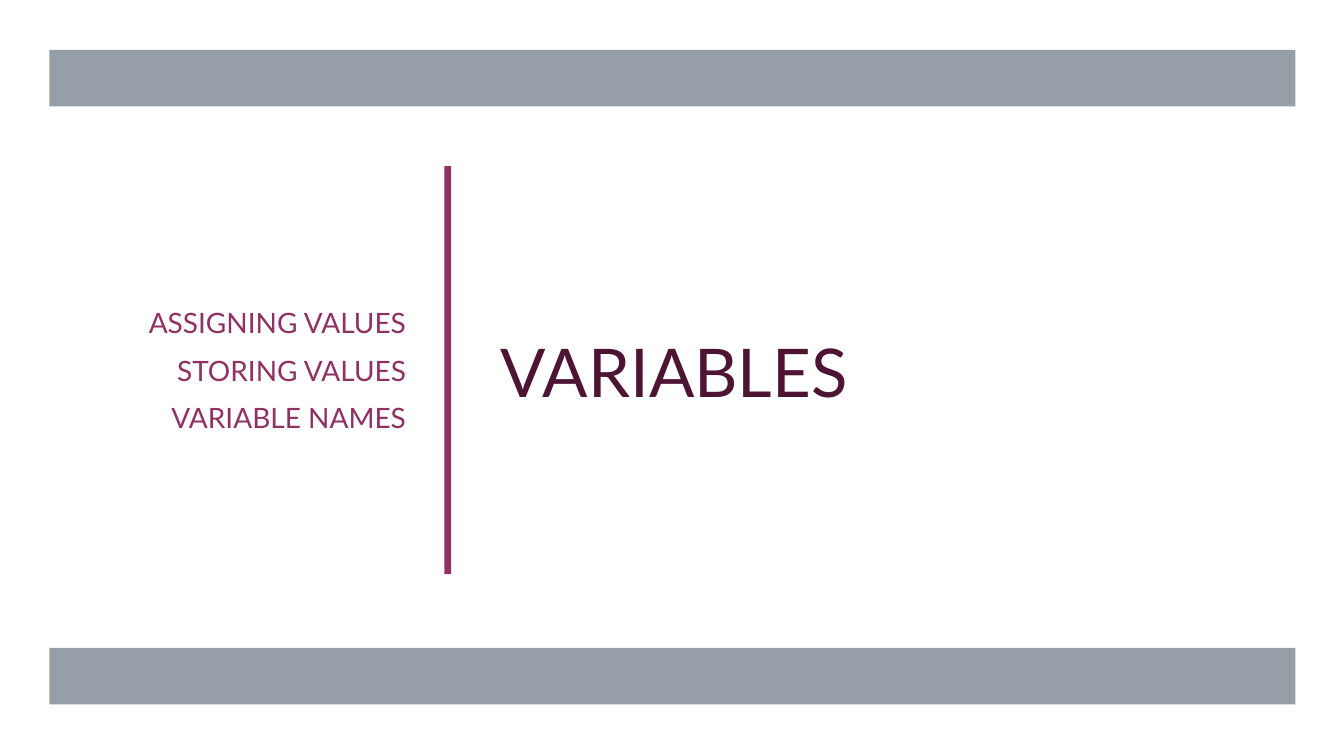
"""Build the section slide that introduces variables."""
from pptx import Presentation
from pptx.dml.color import RGBColor
from pptx.enum.shapes import MSO_SHAPE as Shape
from pptx.enum.text import MSO_ANCHOR as Anchor, MSO_AUTO_SIZE as AutoSize, PP_ALIGN as Align
from pptx.util import Pt

SLATE, PLUM, DARK_PLUM = "969FA7", "903163", "4D1434"
LEFT, BAND_WIDTH, BAND_HEIGHT = 35.3, 890, 40.3
TOP, HEIGHT = 118.6, 291.6


def paint(fill, color):
    fill.solid()
    fill.fore_color.rgb = RGBColor.from_string(color)


def write(holder, box, lines, size, color, align):
    holder.left, holder.top, holder.width, holder.height = [Pt(v) for v in box]
    frame = holder.text_frame
    frame.word_wrap = True
    frame.auto_size = AutoSize.NONE
    frame.vertical_anchor = Anchor.MIDDLE
    for index, line in enumerate(lines):
        paragraph = frame.add_paragraph() if index else frame.paragraphs[0]
        paragraph.alignment = align
        paragraph.space_before = Pt(4 if index else 0)
        paragraph.space_after = Pt(6 if len(lines) > 1 else 0)
        run = paragraph.add_run()
        run.text = line
        run.font.name = "Lato"
        run.font.size = Pt(size)
        run.font.bold = False
        paint(run.font.fill, color)


deck = Presentation()
deck.slide_width, deck.slide_height = Pt(960), Pt(540)
slide = deck.slides.add_slide(deck.slide_layouts[2])
paint(slide.background.fill, "FFFFFF")

title, topics = slide.placeholders
write(title, (350.6, TOP, 574.7, HEIGHT), ["VARIABLES"], 48, DARK_PLUM, Align.LEFT)
write(topics, (LEFT, TOP, 262, HEIGHT),
      ["ASSIGNING VALUES", "STORING VALUES", "VARIABLE NAMES"], 20, PLUM, Align.RIGHT)

for left, top, width, height, color in [
    (LEFT, 35.7, BAND_WIDTH, BAND_HEIGHT, SLATE),
    (317.5, TOP, 4.7, HEIGHT, PLUM),
    (LEFT, 462.8, BAND_WIDTH, BAND_HEIGHT, SLATE),
]:
    bar = slide.shapes.add_shape(Shape.RECTANGLE, Pt(left), Pt(top), Pt(width), Pt(height))
    bar.shadow.inherit = False
    paint(bar.fill, color)
    bar.line.fill.background()

deck.save("out.pptx")
